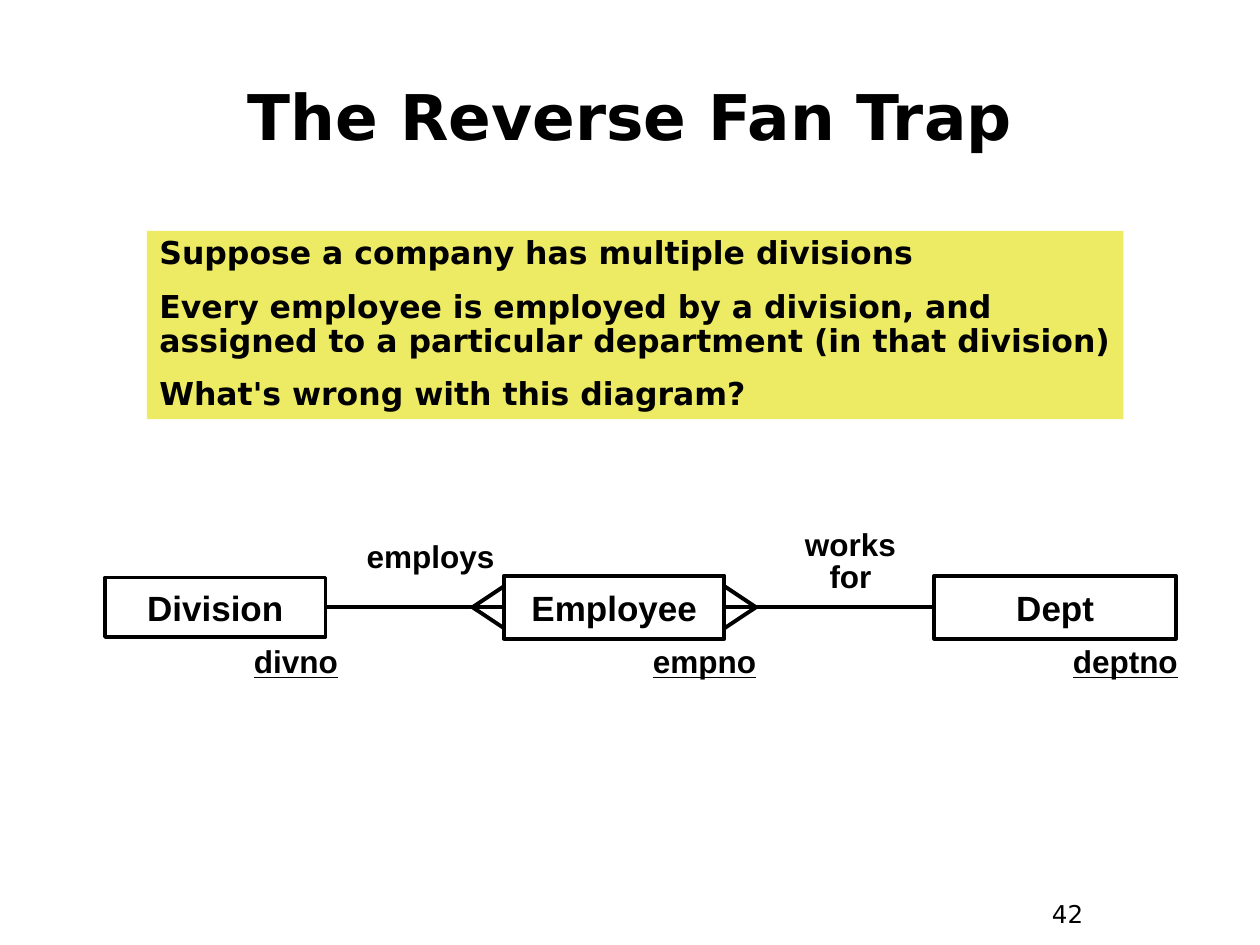
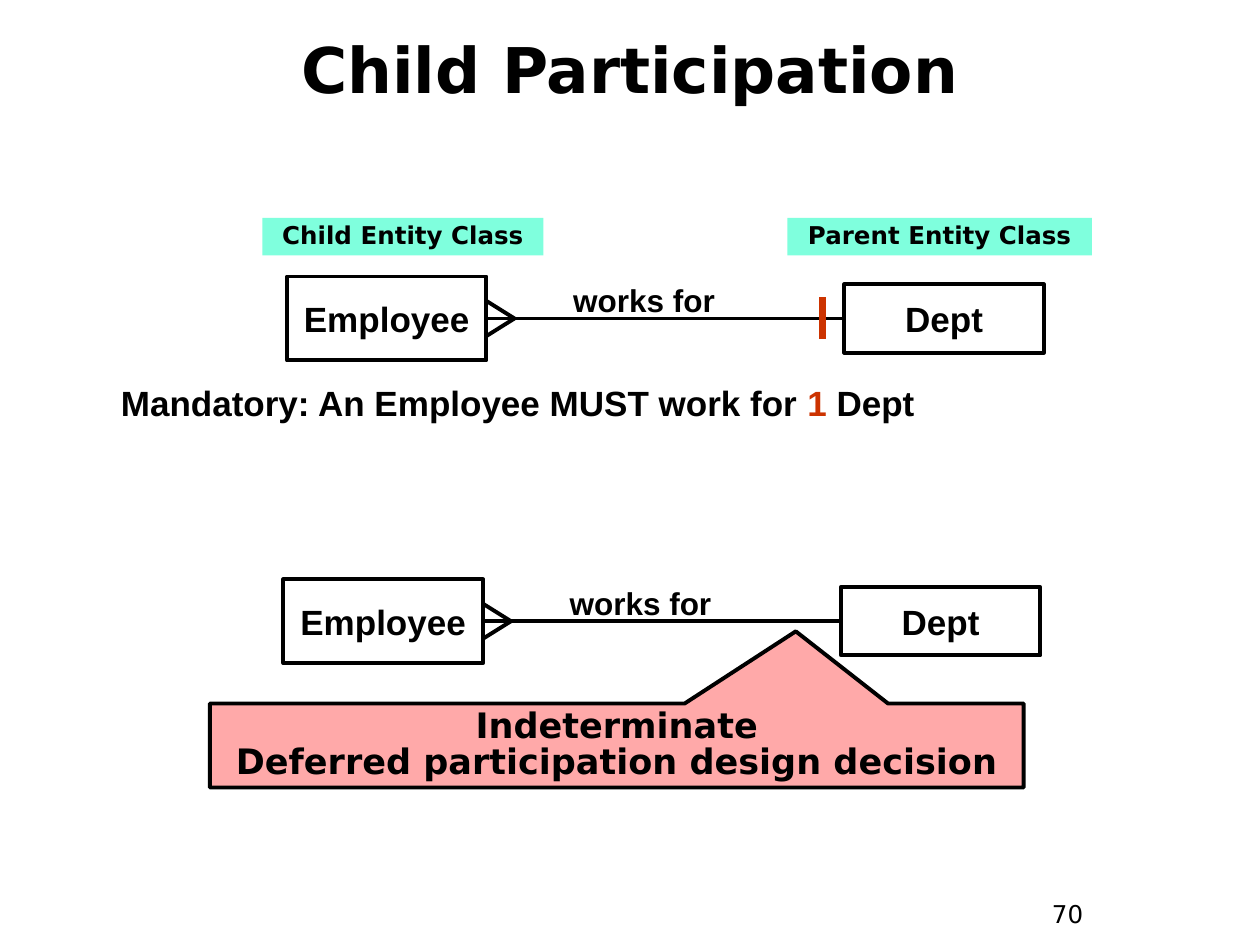
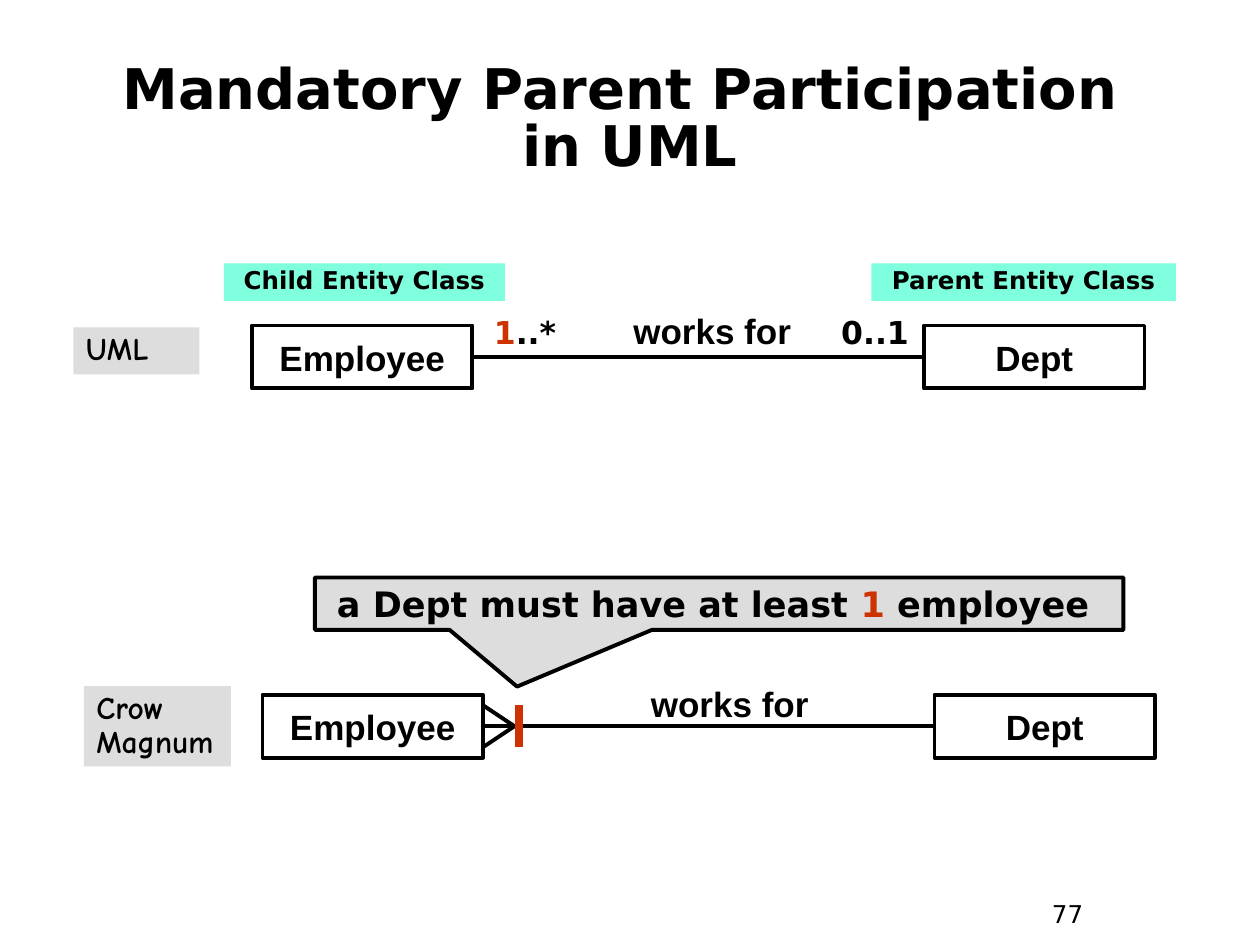
from copy import deepcopy
from dataclasses import dataclass, field
from itertools import pairwise
from typing import Any

from lxml.etree import SubElement
from pptx import Presentation
from pptx.dml.color import RGBColor
from pptx.enum.shapes import MSO_CONNECTOR as Line, MSO_SHAPE as Preset
from pptx.enum.text import MSO_ANCHOR as Anchor, MSO_AUTO_SIZE as Fit, PP_ALIGN as Align
from pptx.oxml.ns import qn
from pptx.util import Pt

TOP, LEFT, BOTTOM, RIGHT = range(4)


@dataclass(frozen=True)
class TextStyle:
    face: str
    size: float
    bold: bool = True
    underline: bool = False
    align: Any = Align.CENTER
    spacing: float = 1.0
    gap: float = 0
    anchor: Any = Anchor.TOP
    wrap: bool = True

    def font_format(self) -> dict[str, Any]:
        return {"name": self.face, "size": Pt(self.size),
                "bold": self.bold, "underline": self.underline}

    def paragraph_format(self, first: bool) -> dict[str, Any]:
        return {"alignment": self.align, "line_spacing": self.spacing,
                "space_before": Pt(0 if first else self.gap)}

    def frame_format(self) -> dict[str, Any]:
        return {"word_wrap": self.wrap, "vertical_anchor": self.anchor,
                "auto_size": Fit.NONE, "margin_left": Pt(7.2), "margin_right": Pt(7.2),
                "margin_top": Pt(3.6), "margin_bottom": Pt(3.6)}


SANS, DIAGRAM, HAND = "DejaVu Sans", "Arial", "Comic Neue"


@dataclass(frozen=True)
class Theme:
    ink: str = "000000"
    accent: str = "CC3300"
    question: str = "EDEA63"
    role: str = "7FFFDD"
    warning: str = "FFA9A9"
    neutral: str = "DDDDDD"
    stroke: float = 2.25
    tick_stroke: float = 4.5
    title: TextStyle = TextStyle(SANS, 36, anchor=Anchor.MIDDLE)
    long_title: TextStyle = TextStyle(SANS, 32, spacing=0.85, anchor=Anchor.MIDDLE)
    page: TextStyle = TextStyle(SANS, 14, bold=False, align=Align.LEFT)
    entity: TextStyle = TextStyle(DIAGRAM, 20, anchor=Anchor.MIDDLE, wrap=False)
    verb: TextStyle = TextStyle(DIAGRAM, 18)
    tight_verb: TextStyle = TextStyle(DIAGRAM, 18, spacing=0.85)
    large_verb: TextStyle = TextStyle(DIAGRAM, 20, spacing=0.85)
    key: TextStyle = TextStyle(DIAGRAM, 18, underline=True, align=Align.LEFT, spacing=0.9)
    rule: TextStyle = TextStyle(DIAGRAM, 20, align=Align.LEFT)
    story: TextStyle = TextStyle(SANS, 18, align=Align.LEFT, spacing=0.9, gap=11.2)
    role_name: TextStyle = TextStyle(SANS, 14, spacing=0.85)
    notation: TextStyle = TextStyle(HAND, 18, align=Align.LEFT, spacing=0.9)
    multiplicity: TextStyle = TextStyle(SANS, 18, spacing=0.9)
    remark: TextStyle = TextStyle(SANS, 20, anchor=Anchor.MIDDLE)
    tight_remark: TextStyle = TextStyle(SANS, 20, spacing=0.85, anchor=Anchor.MIDDLE)


THEME = Theme()


@dataclass(frozen=True)
class Box:
    left: float
    top: float
    width: float
    height: float

    def lengths(self) -> dict[str, Any]:
        return {side: Pt(getattr(self, side)) for side in ("left", "top", "width", "height")}


@dataclass(frozen=True)
class Block:
    style: TextStyle
    box: Box
    paragraphs: tuple[str, ...]
    fill: str | None = None
    outlined: bool = False
    tip: tuple[float, float] | None = None


@dataclass(frozen=True)
class Entity:
    label: str
    left: float
    width: float
    height: float
    feet: tuple[int, ...] = ()


@dataclass(frozen=True)
class Relationship:
    axis: float
    entities: tuple[Entity, ...]
    reach: float = 18
    spread: float = 12
    tick: float | None = None


@dataclass(frozen=True)
class Page:
    title: str
    title_box: Box
    number: int
    relationships: tuple[Relationship, ...]
    blocks: tuple[Block, ...]
    title_style: TextStyle = field(default=THEME.title)


def apply(target: Any, values: dict[str, Any]) -> None:
    for attribute, value in values.items():
        setattr(target, attribute, value)


def colour(code: str) -> RGBColor:
    return RGBColor.from_string(code)


def write(frame: Any, paragraphs: tuple[str, ...], style: TextStyle) -> None:
    apply(frame, style.frame_format())
    for index, text in enumerate(paragraphs):
        paragraph = frame.add_paragraph() if index else frame.paragraphs[0]
        apply(paragraph, style.paragraph_format(index == 0))
        for part, passage in enumerate(text.split("|")):
            for row, words in enumerate(passage.split("\n")):
                if row:
                    paragraph.add_line_break()
                    paragraph._p[-1].append(deepcopy(run._r.rPr))
                if words:
                    run = paragraph.add_run()
                    run.text = words
                    apply(run.font, style.font_format())
                    run.font.color.rgb = colour(THEME.accent if part % 2 else THEME.ink)


def draw_block(slide: Any, block: Block) -> Any:
    place = block.box.lengths().values()
    if block.fill or block.outlined:
        preset = Preset.RECTANGULAR_CALLOUT if block.tip else Preset.RECTANGLE
        shape = slide.shapes.add_shape(preset, *place)
        shape.shadow.inherit = False
        if block.fill:
            shape.fill.solid()
            shape.fill.fore_color.rgb = colour(block.fill)
        else:
            shape.fill.background()
        if block.outlined:
            shape.line.color.rgb = colour(THEME.ink)
            shape.line.width = Pt(THEME.stroke)
        else:
            shape.line.fill.background()
        for index, offset in enumerate(block.tip or ()):
            shape.adjustments[index] = offset
    else:
        shape = slide.shapes.add_textbox(*place)
    write(shape.text_frame, block.paragraphs, block.style)
    return shape


def draw_line(slide: Any, start: tuple[float, float], end: tuple[float, float],
              code: str = THEME.ink, weight: float = THEME.stroke) -> Any:
    line = slide.shapes.add_connector(Line.STRAIGHT, *map(Pt, start + end))
    line.line.color.rgb = colour(code)
    line.line.width = Pt(weight)
    SubElement(line.element.spPr, qn("a:effectLst"))
    return line


def draw_relationship(slide: Any, relationship: Relationship) -> None:
    axis, spread = relationship.axis, relationship.spread
    drawn = []
    for entity in relationship.entities:
        box = Box(entity.left, axis - entity.height / 2, entity.width, entity.height)
        drawn.append(draw_block(slide, Block(THEME.entity, box, (entity.label,), outlined=True)))
        for side in entity.feet:
            edge = entity.left + (entity.width if side == RIGHT else 0)
            tip = edge + (relationship.reach if side == RIGHT else -relationship.reach)
            for toe in (axis - spread, axis + spread):
                draw_line(slide, (tip, axis), (edge, toe))
    for near, far in pairwise(drawn):
        link = draw_line(slide, (0, axis), (0, axis))
        link.begin_connect(near, RIGHT)
        link.end_connect(far, LEFT)
    if relationship.tick is not None:
        draw_line(slide, (relationship.tick, axis - 12), (relationship.tick, axis + 12),
                  THEME.accent, THEME.tick_stroke)


def draw_page(deck: Any, page: Page) -> None:
    slide = deck.slides.add_slide(deck.slide_layouts[5])
    title = slide.shapes.title
    apply(title, page.title_box.lengths())
    write(title.text_frame, (page.title,), page.title_style)
    for relationship in page.relationships:
        draw_relationship(slide, relationship)
    for block in page.blocks:
        draw_block(slide, block)
    draw_block(slide, Block(THEME.page, Box(594, 510, 54, 27), (str(page.number),)))


def roles(child_left: float, parent_left: float, top: float) -> tuple[Block, ...]:
    return tuple(
        Block(THEME.role_name, Box(left, top, width, 21.5), (f"{role} Entity Class",), THEME.role)
        for role, left, width in (("Child", child_left, 160.5), ("Parent", parent_left, 174)))


def participation(left: float, axis: float, tick: float | None = None) -> Relationship:
    return Relationship(axis, (Entity("Employee", left, 114, 48, (RIGHT,)),
                               Entity("Dept", left + 318.5, 114, 39)), 16, 10, tick)


def membership(left: float, axis: float, feet: tuple[int, ...] = (),
               tick: float | None = None) -> Relationship:
    return Relationship(axis, (Entity("Employee", left, 126, 36, feet),
                               Entity("Dept", left + 384, 126, 36)), tick=tick)


PAGES = (
    Page(
        "The Reverse Fan Trap", Box(24, 36, 672, 60), 42,
        (Relationship(347, (Entity("Division", 60, 126, 34),
                            Entity("Employee", 288, 126, 36, (LEFT, RIGHT)),
                            Entity("Dept", 534, 138, 36))),),
        (
            Block(THEME.tight_verb, Box(186, 306.5, 120, 26), ("employs",)),
            Block(THEME.tight_verb, Box(426, 300, 120, 44), ("works\nfor",)),
            Block(THEME.story, Box(84, 132, 558, 107.5), (
                "Suppose a company has multiple divisions",
                "Every employee is employed by a division, and assigned to a particular "
                "department (in that division)",
                "What's wrong with this diagram?"), THEME.question),
            *(Block(THEME.key, Box(left, 366, 84, 27), (key,))
              for key, left in (("divno", 138), ("empno", 366), ("deptno", 606))),
        ),
    ),
    Page(
        "Child Participation", Box(24, 6, 672, 66), 70,
        (participation(164, 182, tick=470), participation(162, 355)),
        (
            *(Block(THEME.verb, Box(left, top, 120, 29), ("works for",))
              for left, top in ((308, 157), (306, 330))),
            Block(THEME.rule, Box(62, 214.5, 546, 32),
                  ("Mandatory: An Employee MUST work for |1| Dept",)),
            Block(THEME.tight_remark, Box(120, 402, 465, 48),
                  ("Indeterminate\nDeferred participation design decision",),
                  THEME.warning, True, (0.22, -1.36)),
            *roles(150, 450, 124.5),
        ),
    ),
    Page(
        "Mandatory Parent Participation \nin UML", Box(24, 36, 672, 66), 77,
        (membership(144, 204), membership(150, 415, (RIGHT,), 296.5)),
        (
            Block(THEME.notation, Box(42, 187, 72, 27), ("UML",), THEME.neutral),
            Block(THEME.notation, Box(48, 392, 84, 46), ("Crow\nMagnum",), THEME.neutral),
            *(Block(THEME.large_verb, Box(left, top, 120, 28), ("works for",))
              for left, top in ((347, 177), (357, 390))),
            *(Block(THEME.multiplicity, Box(left, 178, 60, 27), (bounds,))
              for bounds, left in (("|1|..*", 270), ("0..1", 470))),
            Block(THEME.remark, Box(180, 330, 462, 30),
                  ("a Dept must have at least |1| employee ",),
                  THEME.neutral, True, (-0.25, 1.58)),
            *roles(128, 498, 150.5),
        ),
        THEME.long_title,
    ),
)


def main() -> None:
    deck = Presentation()
    apply(deck, {"slide_width": Pt(720), "slide_height": Pt(540)})
    for page in PAGES:
        draw_page(deck, page)
    deck.save("out.pptx")


if __name__ == "__main__":
    main()
